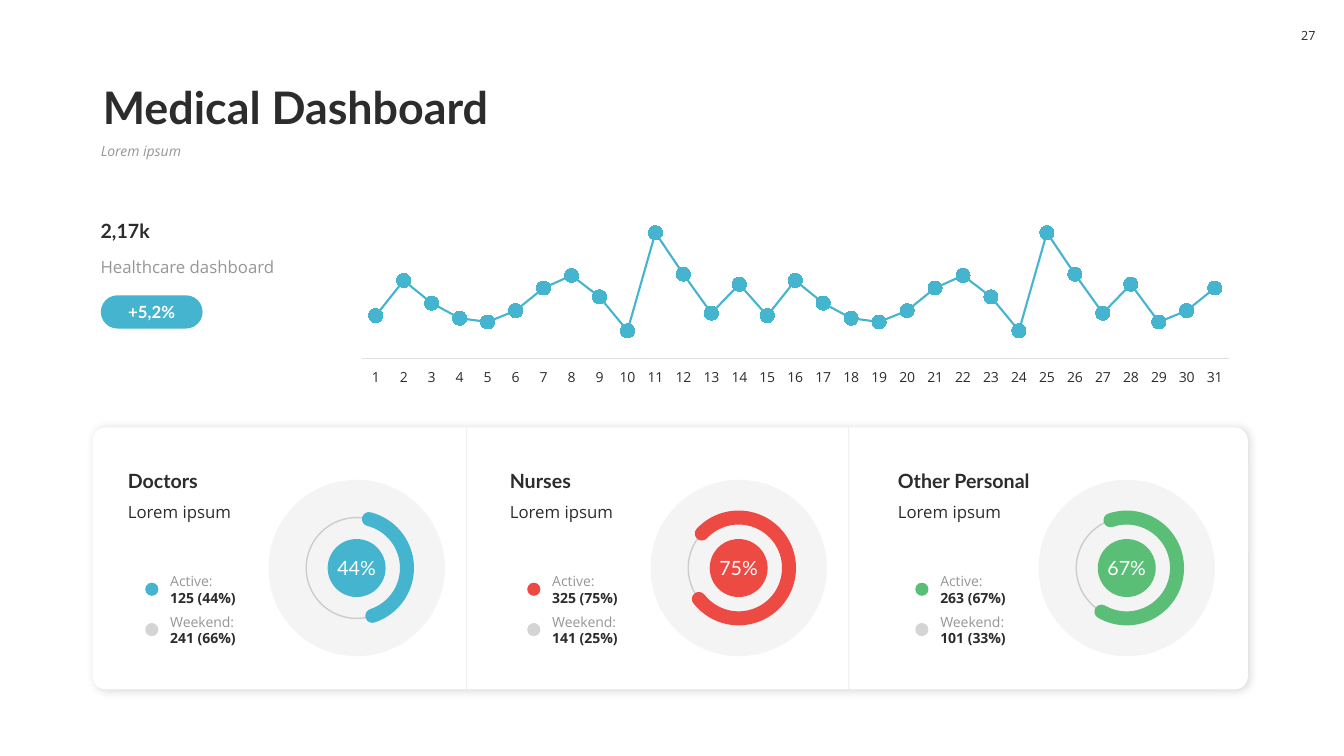
"""Build the medical dashboard slide: a daily line chart above three staff panels."""
from dataclasses import dataclass

from lxml import etree
from pptx import Presentation
from pptx.chart.data import CategoryChartData
from pptx.dml.color import RGBColor
from pptx.enum.chart import XL_CHART_TYPE, XL_MARKER_STYLE, XL_TICK_LABEL_POSITION, XL_TICK_MARK
from pptx.enum.shapes import MSO_CONNECTOR, MSO_SHAPE
from pptx.enum.text import MSO_ANCHOR, MSO_AUTO_SIZE, PP_ALIGN
from pptx.oxml import parse_xml
from pptx.oxml.ns import nsdecls, qn
from pptx.util import Pt

OVAL, ROUNDED, ARC = MSO_SHAPE.OVAL, MSO_SHAPE.ROUNDED_RECTANGLE, MSO_SHAPE.ARC
TOP, MIDDLE, BOTTOM = MSO_ANCHOR.TOP, MSO_ANCHOR.MIDDLE, MSO_ANCHOR.BOTTOM
LEFT, CENTER = PP_ALIGN.LEFT, PP_ALIGN.CENTER
GROW, FIXED = MSO_AUTO_SIZE.SHAPE_TO_FIT_TEXT, MSO_AUTO_SIZE.NONE
STRAIGHT = MSO_CONNECTOR.STRAIGHT
LINE_CHART, CIRCLE = XL_CHART_TYPE.LINE_MARKERS_STACKED, XL_MARKER_STYLE.CIRCLE
NO_TICK, LOW = XL_TICK_MARK.NONE, XL_TICK_LABEL_POSITION.LOW


@dataclass(frozen=True)
class Theme:
    """Colours, and type styles as font, size, colour, bold, italic."""
    dark: str = "2C2C2C"
    white: str = "FFFFFF"
    axis: str = "DFDFDF"
    blue: str = "45B5CF"
    red: str = "ED4A43"
    green: str = "5BBE77"
    title: tuple = ("Lato", 32, "2C2C2C", True, False)
    subtitle: tuple = ("Open Sans", 10, "969696", False, True)
    heading: tuple = ("Lato", 14, "2C2C2C", True, False)
    body: tuple = ("Open Sans", 12, "2C2C2C", False, False)
    muted: tuple = ("Open Sans", 12, "969696", False, False)
    badge: tuple = ("Lato", 12, "FFFFFF", True, False)
    percent: tuple = ("Lato", 14, "FFFFFF", False, False)
    label: tuple = ("Open Sans", 10, "969696", False, False)
    value: tuple = ("Open Sans", 10, "2C2C2C", True, False)
    axis_text: tuple = ("Open Sans", 10, "2C2C2C", False, False)
    page_number: tuple = ("Open Sans", 9, "2C2C2C", False, False)


theme = Theme()
deck = Presentation()
deck.slide_width, deck.slide_height = Pt(960), Pt(540)
page = deck.slides.add_slide(deck.slide_layouts[1])


def add_shape(kind, left, top, width, height, fill=None, line=None, weight=1, opacity=100):
    """Add a shadowless shape with the given paint."""
    shape = page.shapes.add_shape(kind, Pt(left), Pt(top), Pt(width), Pt(height))
    shape.shadow.inherit = False
    if fill:
        shape.fill.solid()
        shape.fill.fore_color.rgb = RGBColor.from_string(fill)
    else:
        shape.fill.background()
    if line:
        shape.line.color.rgb = RGBColor.from_string(line)
        shape.line.width = Pt(weight)
    else:
        shape.line.fill.background()
    if opacity < 100:
        for color in shape.element.spPr.iter(qn("a:srgbClr")):
            etree.SubElement(color, qn("a:alpha")).set("val", str(opacity * 1000))
    return shape


def write(box, lines, anchor=TOP, align=LEFT, size_mode=GROW, wrap=True, inset=7.2):
    """Fill a box with (text, style) lines."""
    frame = box.text_frame
    frame.word_wrap, frame.auto_size, frame.vertical_anchor = wrap, size_mode, anchor
    frame.margin_left = frame.margin_right = Pt(inset)
    frame.margin_top = frame.margin_bottom = Pt(3.6)
    for index, (text, style) in enumerate(lines):
        para = frame.paragraphs[0] if index == 0 else frame.add_paragraph()
        para.text, para.alignment = text, align
        font = para.font
        font.name, font.size, font.bold, font.italic = style[0], Pt(style[1]), style[3], style[4]
        font.color.rgb = RGBColor.from_string(style[2])
    return frame


title, subtitle = page.shapes.title, page.placeholders[1]
for box, place, text, style, anchor in (
    (title, (66.24, 41.76, 828, 57.6), "Medical Dashboard", theme.title, BOTTOM),
    (subtitle, (64.8, 99.36, 829.44, 25.92), "Lorem ipsum", theme.subtitle, TOP),
):
    box.left, box.top, box.width, box.height = map(Pt, place)
    para = write(box, [(text, style)], anchor, size_mode=FIXED).paragraphs[0]
    para.line_spacing = 0.9
para.space_before = Pt(10)
properties = para._p.get_or_add_pPr()
properties.set("marL", "0")
properties.set("indent", "0")
properties.insert_element_before(parse_xml(f"<a:buNone {nsdecls('a')}/>"), "a:tabLst", "a:defRPr")

number = add_shape(ROUNDED, 921.6, 12.96, 25.92, 25.2, fill=theme.white)
number.adjustments[0] = 0.27
write(number, [("27", theme.page_number)], MIDDLE, CENTER, FIXED, wrap=False, inset=0)

month = (34, 62, 44, 32, 29, 38, 56, 66, 49, 22, 100, 67, 36, 59)
chart_data = CategoryChartData()
chart_data.categories = [str(day) for day in range(1, 32)]
chart_data.add_series("Series 1", month + month + (29, 38, 56))
chart = page.shapes.add_chart(
    LINE_CHART, Pt(245.52), Pt(148.32), Pt(645.12), Pt(128.16), chart_data
).chart
chart.has_legend = chart.has_title = False
chart.font.name, chart.font.size = theme.axis_text[0], Pt(theme.axis_text[1])
chart.font.color.rgb = RGBColor.from_string(theme.dark)
days, values = chart.category_axis, chart.value_axis
days.major_tick_mark = days.minor_tick_mark = NO_TICK
days.tick_label_position = LOW
days.has_major_gridlines = values.has_major_gridlines = False
days.format.line.color.rgb = RGBColor.from_string(theme.axis)
days.format.line.width = Pt(0.75)
values.visible = False
values.minimum_scale, values.maximum_scale = 0, 120
plot = chart.plots[0]
plot.vary_by_categories = False
series = plot.series[0]
series.smooth = False
series.format.line.color.rgb = RGBColor.from_string(theme.blue)
series.format.line.width = Pt(1.5)
series.marker.style, series.marker.size = CIRCLE, 10
series.marker.format.fill.solid()
series.marker.format.fill.fore_color.rgb = RGBColor.from_string(theme.blue)
series.marker.format.line.color.rgb = RGBColor.from_string(theme.blue)
plot_area = chart.element.find(".//" + qn("c:plotArea"))
for layout in plot_area.findall(qn("c:layout")):
    plot_area.remove(layout)
plot_area.insert(0, parse_xml(
    f'<c:layout {nsdecls("c")}><c:manualLayout><c:layoutTarget val="inner"/>'
    '<c:xMode val="edge"/><c:yMode val="edge"/><c:x val="0.02"/><c:y val="0"/>'
    '<c:w val="0.96"/><c:h val="0.85"/></c:manualLayout></c:layout>'
))

for text, style, top, height, anchor in (
    ("2,17k", theme.heading, 151.92, 24.48, BOTTOM),
    ("Healthcare dashboard", theme.muted, 180, 21.6, TOP),
):
    box = page.shapes.add_textbox(Pt(64.8), Pt(top), Pt(153.36), Pt(height))
    write(box, [(text, style)], anchor)
badge = add_shape(ROUNDED, 72, 210.96, 72.72, 23.76, fill=theme.blue)
badge.adjustments[0] = 0.5
write(badge, [("+5,2%", theme.badge)], MIDDLE, CENTER, FIXED, inset=0)

card_top, card_height = 305.28, 187.2
card = add_shape(ROUNDED, 66.24, card_top, 825.12, card_height, fill=theme.white)
card.adjustments[0] = 0.05
card.element.spPr.find(qn("a:effectLst")).append(parse_xml(
    f'<a:outerShdw {nsdecls("a")} blurRad="{Pt(6)}" dist="{Pt(1)}" dir="2700000" algn="tl" '
    'rotWithShape="0"><a:srgbClr val="000000"><a:alpha val="15000"/></a:srgbClr></a:outerShdw>'
))

for x in (333.36, 606.24):
    divider = page.shapes.add_connector(
        STRAIGHT, Pt(x), Pt(card_top + card_height), Pt(x), Pt(card_top)
    )
    divider.line.color.rgb = RGBColor.from_string(theme.dark)
    divider.line.width = Pt(0.5)
    color = divider.element.spPr.find(".//" + qn("a:srgbClr"))
    etree.SubElement(color, qn("a:alpha")).set("val", "10000")
    etree.SubElement(divider.element.spPr, qn("a:effectLst"))

panels = (
    (84.24, "Doctors", "44%", theme.blue, 284.17, 71.77, "125 (44%)", "241 (66%)"),
    (357.12, "Nurses", "75%", theme.red, 223.06, 142.01, "325 (75%)", "141 (25%)"),
    (634.32, "Other Personal", "67%", theme.green, 251.29, 120.02, "263 (67%)", "101 (33%)"),
)
center_y = 405.72
for left, name, percent, color, start, end, active, weekend in panels:
    center_x = left + 170.5
    for kind, size, paint in (
        (OVAL, 126, {"fill": theme.dark, "opacity": 5}),
        (OVAL, 72, {"line": theme.dark, "opacity": 20}),
        (OVAL, 41.4, {"fill": color}),
        (ARC, 72, {"line": color, "weight": 10}),
    ):
        ring = add_shape(kind, center_x - size / 2, center_y - size / 2, size, size, **paint)
        if kind == ARC:
            ring.adjustments[0], ring.adjustments[1] = start * 0.6, end * 0.6
            ring.element.spPr.find(qn("a:ln")).set("cap", "rnd")
        elif size == 41.4:
            write(ring, [(percent, theme.percent)], MIDDLE, CENTER, FIXED, wrap=False, inset=0)
    rows = [
        (left, 330.48, 205.92, 24.48, BOTTOM, [(name, theme.heading)]),
        (left, 354.96, 205.92, 21.6, TOP, [("Lorem ipsum", theme.body)]),
    ]
    for row, (label, value, dot, opacity) in enumerate((
        ("Active:", active, color, 100), ("Weekend:", weekend, theme.dark, 20)
    )):
        shift = row * 28.8
        add_shape(OVAL, left + 19.5, 416.2 + shift, 9.4, 9.4, fill=dot, opacity=opacity)
        rows.append((left + 30.24, 405.36 + shift, 84.96, 31.68, MIDDLE,
                     [(label, theme.label), (value, theme.value)]))
    for x, y, width, height, anchor, lines in rows:
        write(page.shapes.add_textbox(Pt(x), Pt(y), Pt(width), Pt(height)), lines, anchor)

deck.save("out.pptx")
